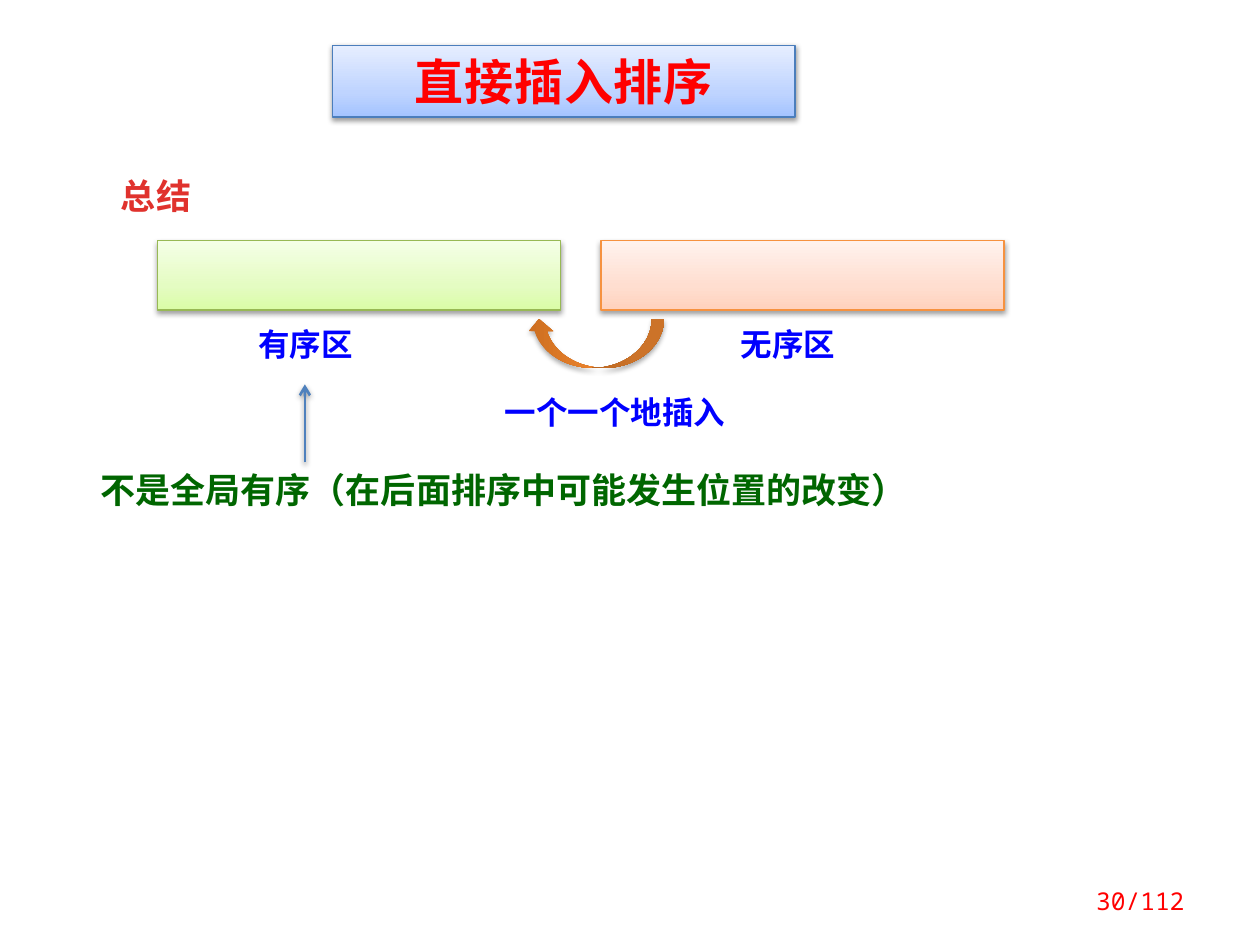
"""Build the summary slide on straight insertion sort."""
from dataclasses import dataclass

from lxml.etree import SubElement
from pptx import Presentation
from pptx.dml.color import RGBColor
from pptx.enum.shapes import MSO_CONNECTOR, MSO_SHAPE
from pptx.enum.text import MSO_ANCHOR, PP_ALIGN
from pptx.oxml.ns import qn
from pptx.util import Inches, Pt

RED = RGBColor(0xFF, 0x00, 0x00)
BRICK = RGBColor(0xE0, 0x32, 0x2D)
BLUE = RGBColor(0x00, 0x00, 0xFF)
GREEN = RGBColor(0x00, 0x66, 0x00)
STEEL = RGBColor(0x4F, 0x81, 0xBD)
NAVY = RGBColor(0x4B, 0x7E, 0xBC)
LIME = RGBColor(0x98, 0xB9, 0x55)
ORANGE = RGBColor(0xF6, 0x92, 0x40)
SKY_FILL = ((0, RGBColor(0xA4, 0xC4, 0xFF)), (35, RGBColor(0xBF, 0xD4, 0xFF)), (100, RGBColor(0xE6, 0xEE, 0xFF)))
LIME_FILL = ((0, RGBColor(0xDA, 0xFD, 0xA7)), (35, RGBColor(0xE4, 0xFC, 0xC2)), (100, RGBColor(0xF5, 0xFF, 0xE7)))
PEACH_FILL = ((0, RGBColor(0xFF, 0xD2, 0xBD)), (35, RGBColor(0xFF, 0xDE, 0xD0)), (100, RGBColor(0xFF, 0xF2, 0xED)))
RUST_FILL = ((0, RGBColor(0xCC, 0x6E, 0x20)), (80, RGBColor(0xFF, 0x90, 0x34)), (100, RGBColor(0xFF, 0x91, 0x36)))
MONO = "Noto Sans Mono"
SANS = "Noto Sans CJK SC"


@dataclass
class Block:
    """A gradient shape with a soft shadow."""
    box: tuple[float, float, float, float]
    stops: tuple
    edge: RGBColor | None = None
    kind: MSO_SHAPE = MSO_SHAPE.RECTANGLE
    turn: float = 0
    shade: int = 38


@dataclass
class Label:
    """A one-line text box."""
    text: str
    box: tuple[float, float, float, float]
    color: RGBColor = BLUE
    size: float = 18
    font: str = MONO
    bold: bool = True
    align: PP_ALIGN = PP_ALIGN.LEFT
    space: float = 0


def put_text(shape, text: str, *, size: float, color: RGBColor, font: str = MONO,
             bold: bool = True, align: PP_ALIGN = PP_ALIGN.LEFT, space: float = 0) -> None:
    """Write one formatted line into a shape."""
    frame = shape.text_frame
    frame.word_wrap = True
    frame.vertical_anchor = MSO_ANCHOR.MIDDLE
    para = frame.paragraphs[0]
    para.alignment = align
    run = para.add_run()
    run.text = text
    run.font.size = Pt(size)
    run.font.bold = bold
    run.font.color.rgb = color
    run.font.name = font
    props = run.font._element
    SubElement(props, qn("a:ea"), typeface=SANS)
    if space:
        props.set("spc", str(round(space * 100)))


def add_shade(shape, shade: int = 38) -> None:
    """Give a shape a downward shadow of the given strength."""
    props = shape._element.spPr
    host = props.find(qn("a:effectLst"))
    if host is None:
        host = SubElement(props, qn("a:effectLst"))
    drop = SubElement(host, qn("a:outerShdw"), blurRad=str(Pt(3.1)), dist=str(Pt(1.6)),
                      dir="5400000", rotWithShape="0")
    tint = SubElement(drop, qn("a:srgbClr"), val="000000")
    SubElement(tint, qn("a:alpha"), val=str(shade * 1000))


def add_block(slide, block: Block):
    """Draw a gradient block and return its shape."""
    shape = slide.shapes.add_shape(block.kind, *map(Inches, block.box))
    shape.rotation = block.turn
    shape.fill.gradient()
    shape.fill.gradient_angle = 90
    stops = shape._element.spPr.find(qn("a:gradFill")).find(qn("a:gsLst"))
    stops.clear()
    for pos, color in block.stops:
        stop = SubElement(stops, qn("a:gs"), pos=str(pos * 1000))
        SubElement(stop, qn("a:srgbClr"), val=str(color))
    if block.edge is None:
        shape.line.fill.background()
    else:
        shape.line.color.rgb = block.edge
        shape.line.width = Pt(0.75)
    shape.shadow.inherit = False
    add_shade(shape, block.shade)
    return shape


def add_label(slide, label: Label) -> None:
    """Draw a text box."""
    shape = slide.shapes.add_textbox(*map(Inches, label.box))
    put_text(shape, label.text, size=label.size, color=label.color, font=label.font,
             bold=label.bold, align=label.align, space=label.space)


def add_arrow(slide, start: tuple[float, float], end: tuple[float, float]) -> None:
    """Draw a straight arrow."""
    line = slide.shapes.add_connector(MSO_CONNECTOR.STRAIGHT, *map(Inches, start + end))
    line.line.color.rgb = STEEL
    line.line.width = Pt(1.5)
    SubElement(line.line._get_or_add_ln(), qn("a:tailEnd"), type="arrow")
    add_shade(line)


BLOCKS = (
    Block((1.25, 1.91, 3.2, 0.55), LIME_FILL, LIME),
    Block((4.77, 1.91, 3.2, 0.55), PEACH_FILL, ORANGE),
    Block((4.53, 2.18, 0.39, 1.09), RUST_FILL, kind=MSO_SHAPE.CURVED_LEFT_ARROW, turn=90, shade=35),
)
TITLE = Block((2.64, 0.36, 3.67, 0.57), SKY_FILL, NAVY)
LABELS = (
    Label("有序区", (1.95, 2.53, 1.64, 0.4)),
    Label("无序区", (5.78, 2.53, 1.64, 0.4)),
    Label("一个一个地插入", (3.91, 3.07, 2.03, 0.4)),
    Label("总结", (0.86, 1.33, 1.41, 0.44), BRICK, 20, SANS, space=0.5),
    Label("不是全局有序（在后面排序中可能发生位置的改变）", (0.7, 3.67, 6.64, 0.43), GREEN, 20),
    Label("30/112", (8.28, 6.95, 1.22, 0.4), RED, 14, bold=False, align=PP_ALIGN.RIGHT),
)


def main() -> None:
    """Build and save the slide."""
    deck = Presentation()
    deck.slide_width, deck.slide_height = Inches(10), Inches(7.5)
    slide = deck.slides.add_slide(deck.slide_layouts[6])
    for block in BLOCKS:
        add_block(slide, block)
    for label in LABELS:
        add_label(slide, label)
    add_arrow(slide, (2.42, 3.67), (2.42, 3.05))
    title = add_block(slide, TITLE)
    put_text(title, "直接插入排序", size=28, color=RED, align=PP_ALIGN.CENTER, space=0.5)
    deck.save("out.pptx")


if __name__ == "__main__":
    main()
